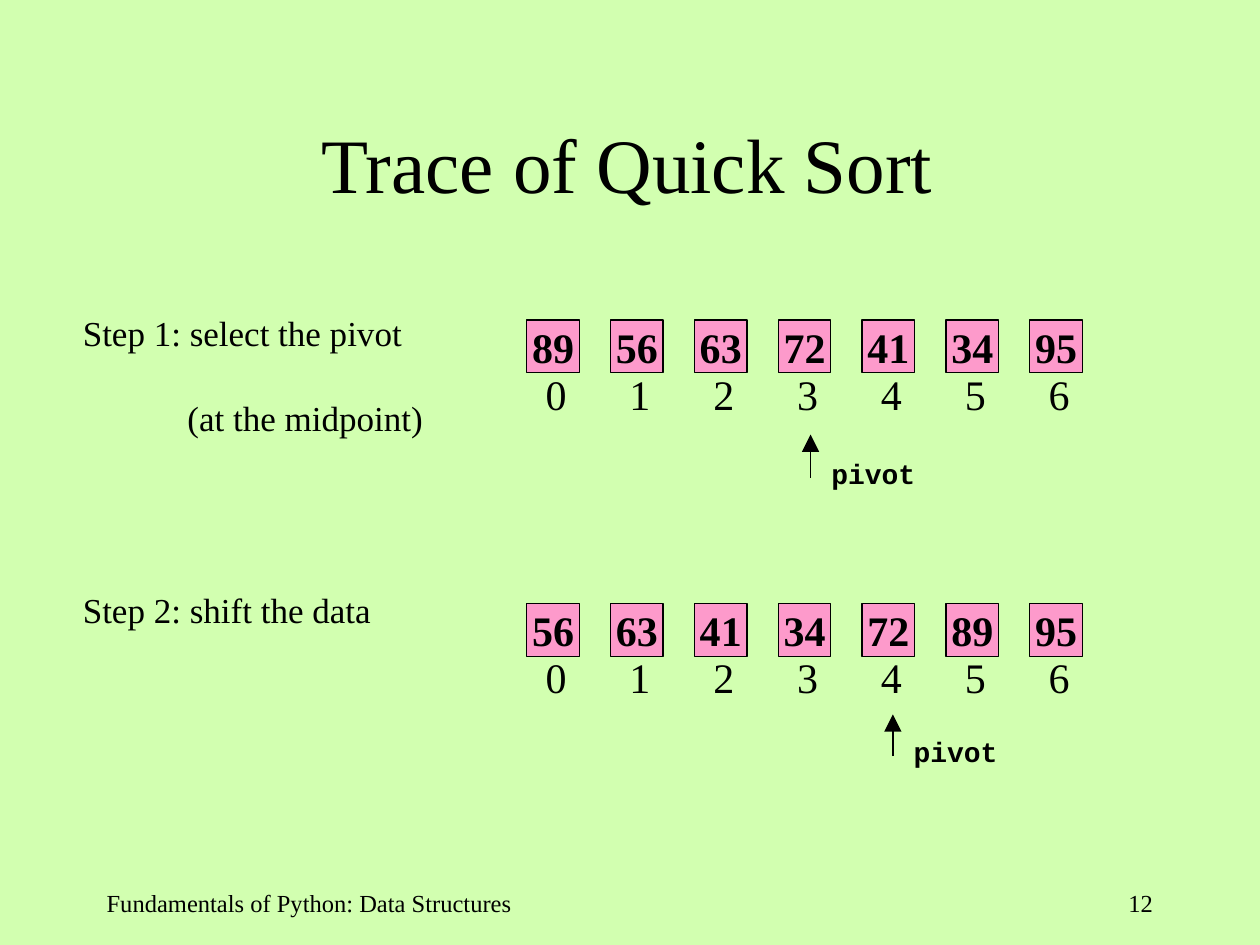
"""Build the slide that traces the first two steps of quick sort."""
from lxml.etree import SubElement
from pptx import Presentation
from pptx.dml.color import RGBColor
from pptx.enum.shapes import MSO_CONNECTOR, MSO_SHAPE
from pptx.enum.text import MSO_ANCHOR, PP_ALIGN
from pptx.oxml.ns import qn
from pptx.util import Cm, Pt

BLACK = RGBColor(0x00, 0x00, 0x00)
PINK = RGBColor(0xFD, 0x9A, 0xCB)
PALE_GREEN = RGBColor(0xD2, 0xFF, 0xB0)
SERIF = "Times New Roman"
MONO = "Courier New"
TIGHT = (0.1, 0, 0, 0)
ROOMY = (0.25, 0.13, 0.25, 0.13)
CELL_LEFT = 10.62
CELL_SIZE = 1.06
CELL_PITCH = 1.69


def write(para, text, size, font=SERIF, bold=False):
    span = para.add_run()
    span.text = text
    span.font.name = font
    span.font.size = Pt(size)
    span.font.bold = bold
    span.font.color.rgb = BLACK


def add_box(left, top, width, height, margins=TIGHT):
    box = page.shapes.add_textbox(Cm(left), Cm(top), Cm(width), Cm(height))
    frame = box.text_frame
    frame.word_wrap = True
    frame.margin_left, frame.margin_top, frame.margin_right, frame.margin_bottom = map(Cm, margins)
    return frame


deck = Presentation()
deck.slide_width = Cm(25.4)
deck.slide_height = Cm(19.05)
page = deck.slides.add_slide(deck.slide_layouts[6])
page.background.fill.solid()
page.background.fill.fore_color.rgb = PALE_GREEN

title = add_box(1.9, 1.7, 21.6, 3.18, (0.25, 0.13, 0.36, 0.13))
title.vertical_anchor = MSO_ANCHOR.MIDDLE
title.paragraphs[0].alignment = PP_ALIGN.CENTER
write(title.paragraphs[0], "Trace of Quick Sort", 44)

steps = [
    (["Step 1: select the pivot", "(at the midpoint)"], (6.27, 7.09, 2.54),
     6.45, [89, 56, 63, 72, 41, 34, 95], (16.34, 9.63, 8.76)),
    (["Step 2: shift the data"], (11.86, 6.05, 0.84),
     12.17, [56, 63, 41, 34, 72, 89, 95], (18, 15.24, 14.4)),
]

for lines, (label_top, label_width, label_height), row_top, values, (arrow_x, tail_y, head_y) in steps:
    label = add_box(1.57, label_top, label_width, label_height)
    write(label.paragraphs[0], lines[0], 20)
    for line in lines[1:]:
        para = label.add_paragraph()
        para.space_before = Pt(25)
        para._p.get_or_add_pPr().set("marL", str(Cm(2.11)))
        write(para, line, 20)

    for index, value in enumerate(values):
        cell = page.shapes.add_shape(
            MSO_SHAPE.RECTANGLE, Cm(CELL_LEFT + index * CELL_PITCH), Cm(row_top), Cm(CELL_SIZE), Cm(CELL_SIZE))
        cell.shadow.inherit = False
        cell.fill.solid()
        cell.fill.fore_color.rgb = PINK
        cell.line.color.rgb = BLACK
        cell.line.width = Pt(0.75)
        frame = cell.text_frame
        frame.word_wrap = False
        frame.margin_left = frame.margin_right = frame.margin_top = frame.margin_bottom = 0
        frame.vertical_anchor = MSO_ANCHOR.MIDDLE
        frame.paragraphs[0].alignment = PP_ALIGN.CENTER
        write(frame.paragraphs[0], str(value), 24, bold=True)

    para = add_box(10.9, row_top + 0.97, 10.82, 1.02).paragraphs[0]
    tabs = SubElement(para._p.get_or_add_pPr(), qn("a:tabLst"))
    for index in range(1, len(values)):
        SubElement(tabs, qn("a:tab"), pos=str(Cm(index * CELL_PITCH)), algn="l")
    write(para, "\t".join(str(index) for index in range(len(values))), 24)

    arrow = page.shapes.add_connector(
        MSO_CONNECTOR.STRAIGHT, Cm(arrow_x), Cm(tail_y), Cm(arrow_x), Cm(head_y))
    arrow.line.color.rgb = BLACK
    arrow.line.width = Pt(0.75)
    SubElement(arrow.line._get_or_add_ln(), qn("a:tailEnd"), type="triangle", w="lg", len="lg")
    SubElement(arrow._element.spPr, qn("a:effectLst"))
    pivot = add_box(arrow_x + 0.32, tail_y - 0.43, 1.9, 0.69)
    write(pivot.paragraphs[0], "pivot", 16, MONO, True)

footer = add_box(1.9, 17.78, 9.73, 1.27, ROOMY)
write(footer.paragraphs[0], "Fundamentals of Python: Data Structures", 14)

number = add_box(18.21, 17.78, 5.28, 1.27, ROOMY)
number.paragraphs[0].alignment = PP_ALIGN.RIGHT
write(number.paragraphs[0], "12", 14)

deck.save("out.pptx")
